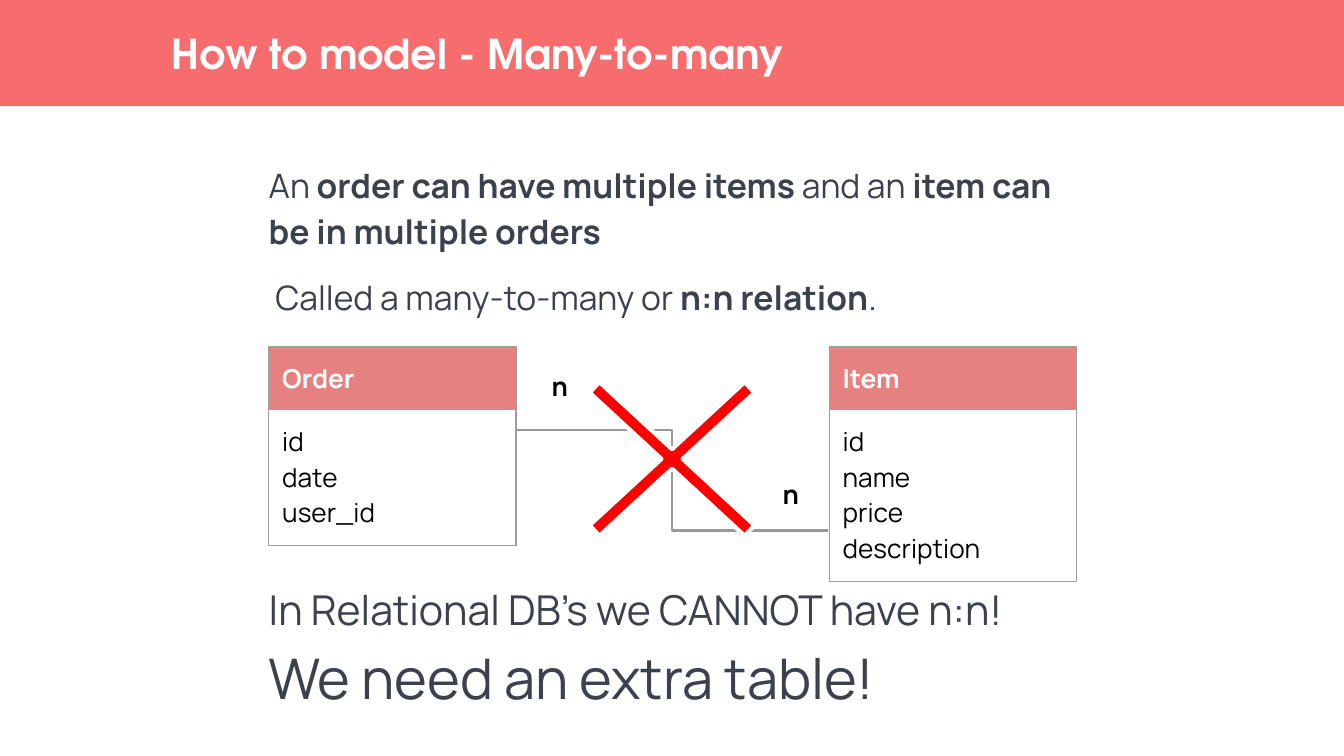
from lxml.etree import SubElement
from pptx import Presentation
from pptx.dml.color import RGBColor
from pptx.enum.shapes import MSO_CONNECTOR, MSO_SHAPE
from pptx.enum.text import MSO_ANCHOR, PP_ALIGN
from pptx.oxml.ns import qn
from pptx.util import Inches, Pt

SANS, HEAD = "Manrope", "TeX Gyre Adventor"
CORAL, ROSE, SLATE = "F76C6C", "E06666", "3B424E"
WHITE, BLACK, GRAY, RED = "FFFFFF", "000000", "999999", "FF0000"


def color(value):
    return RGBColor.from_string(value)


def add_run(para, text, size, tint, bold=False, font=SANS):
    run = para.add_run()
    run.text = text
    run.font.size = Pt(size)
    run.font.name = font
    run.font.bold = bold
    run.font.color.rgb = color(tint)


def add_box(slide, left, top, width, height, inset=0):
    """Add a wrapped, vertically centred text box and return its frame."""
    box = slide.shapes.add_textbox(*map(Inches, (left, top, width, height)))
    frame = box.text_frame
    frame.word_wrap = True
    frame.vertical_anchor = MSO_ANCHOR.MIDDLE
    frame.margin_left = frame.margin_right = Inches(inset)
    frame.margin_top = frame.margin_bottom = Inches(inset)
    return frame


def add_shape(slide, kind, left, top, width, height, fill):
    shape = slide.shapes.add_shape(kind, *map(Inches, (left, top, width, height)))
    shape.shadow.inherit = False
    shape.fill.solid()
    shape.fill.fore_color.rgb = color(fill)
    shape.line.fill.background()
    return shape


def add_header(slide, title, height):
    add_shape(slide, MSO_SHAPE.RECTANGLE, -0.02, 0, 10.04, height, CORAL)
    frame = add_box(slide, 1.28, 0, 7.1, height)
    add_run(frame.paragraphs[0], title, 22, WHITE, True, HEAD)


def add_body(slide, left, top, width, height, lines, gap=0):
    """Each line is a list of (text, size, bold) runs."""
    frame = add_box(slide, left, top, width, height)
    for i, line in enumerate(lines):
        para = frame.paragraphs[0] if i == 0 else frame.add_paragraph()
        para.line_spacing = 1.15
        para.space_before = Pt(gap if i else 0)
        for text, size, bold in line:
            add_run(para, text, size, SLATE, bold)


def add_border(cell):
    props = cell._tc.get_or_add_tcPr()
    for i, side in enumerate(("lnL", "lnR", "lnT", "lnB")):
        line = props.makeelement(qn(f"a:{side}"), {"w": str(Pt(0.75))})
        fill = SubElement(line, qn("a:solidFill"))
        SubElement(fill, qn("a:srgbClr"), val="9E9E9E")
        props.insert(i, line)


def add_entity(slide, left, top, width, name, fields):
    """Draw a database table: a tinted name row above its list of fields."""
    pad, step = 0.1, 0.27
    heights = [step + 2 * pad, step * len(fields) + 2 * pad]
    frame = slide.shapes.add_table(
        2, 1, *map(Inches, (left, top, width, sum(heights))))
    table = frame.table
    table.first_row = table.horz_banding = False
    for row, height in zip(table.rows, heights):
        row.height = Inches(height)
    head, body = table.cell(0, 0), table.cell(1, 0)

    for cell in (head, body):
        cell.margin_left = cell.margin_right = Inches(pad)
        cell.margin_top = cell.margin_bottom = Inches(pad)

    head.fill.solid()
    head.fill.fore_color.rgb = color(ROSE)
    tint = head._tc.tcPr.find(".//" + qn("a:srgbClr"))
    SubElement(tint, qn("a:alpha"), val="82000")
    body.fill.background()
    add_border(head)
    add_border(body)

    add_run(head.text_frame.paragraphs[0], name, 14, WHITE, True)
    lines = body.text_frame
    for i, field in enumerate(fields):
        para = lines.paragraphs[0] if i == 0 else lines.add_paragraph()
        add_run(para, field, 14, BLACK)


def add_link(slide, left, top, width, height):
    """Join the two entities, label both ends, and cross the link out."""
    ends = map(Inches, (left, top, left + width, top + height))
    link = slide.shapes.add_connector(MSO_CONNECTOR.ELBOW, *ends)
    link.line.color.rgb = color(GRAY)
    link.line.width = Pt(1.5)
    SubElement(link._element.spPr, qn("a:effectLst"))

    # Cardinality labels
    for dx, dy in ((0.1, -0.55), (width - 0.5, 0.26)):
        frame = add_box(slide, left + dx, top + dy, 0.45, 0.44, 0.1)
        para = frame.paragraphs[0]
        para.alignment = PP_ALIGN.CENTER
        add_run(para, "n", 14, BLACK, True)

    # Cross
    cross = add_shape(slide, MSO_SHAPE.MATH_MULTIPLY,
                      left + 0.05, top - 0.81, 2.22, 2.05, RED)
    cross.adjustments[0] = 0.052
    cross.line.color.rgb = color(WHITE)
    cross.line.width = Pt(2.25)


def main():
    deck = Presentation()
    deck.slide_width, deck.slide_height = Inches(10), Inches(5.625)
    slide = deck.slides.add_slide(deck.slide_layouts[6])

    add_header(slide, "How to model - Many-to-many", 0.79)

    # Explanation
    add_body(slide, 2, 1.11, 6, 1.32, [
        [("An ", 18, False), ("order can have multiple items", 18, True),
         (" and an ", 18, False), ("item can be in multiple orders", 18, True)],
        [(" Called a many-to-many or", 18, False),
         (" n:n relation", 18, True), (".", 18, False)],
    ], gap=10)

    # Diagram
    add_entity(slide, 2, 2.58, 1.84, "Order", ["id", "date", "user_id"])
    add_entity(slide, 6.17, 2.58, 1.84, "Item",
               ["id", "name", "price", "description"])
    add_link(slide, 3.84, 3.2, 2.32, 0.75)

    # Conclusion
    add_body(slide, 2, 4.13, 6, 1.32, [
        [("In Relational DB’s we CANNOT have n:n!", 22, False)],
        [("We need an extra table!", 30, False)],
    ])

    deck.save("out.pptx")


if __name__ == "__main__":
    main()
